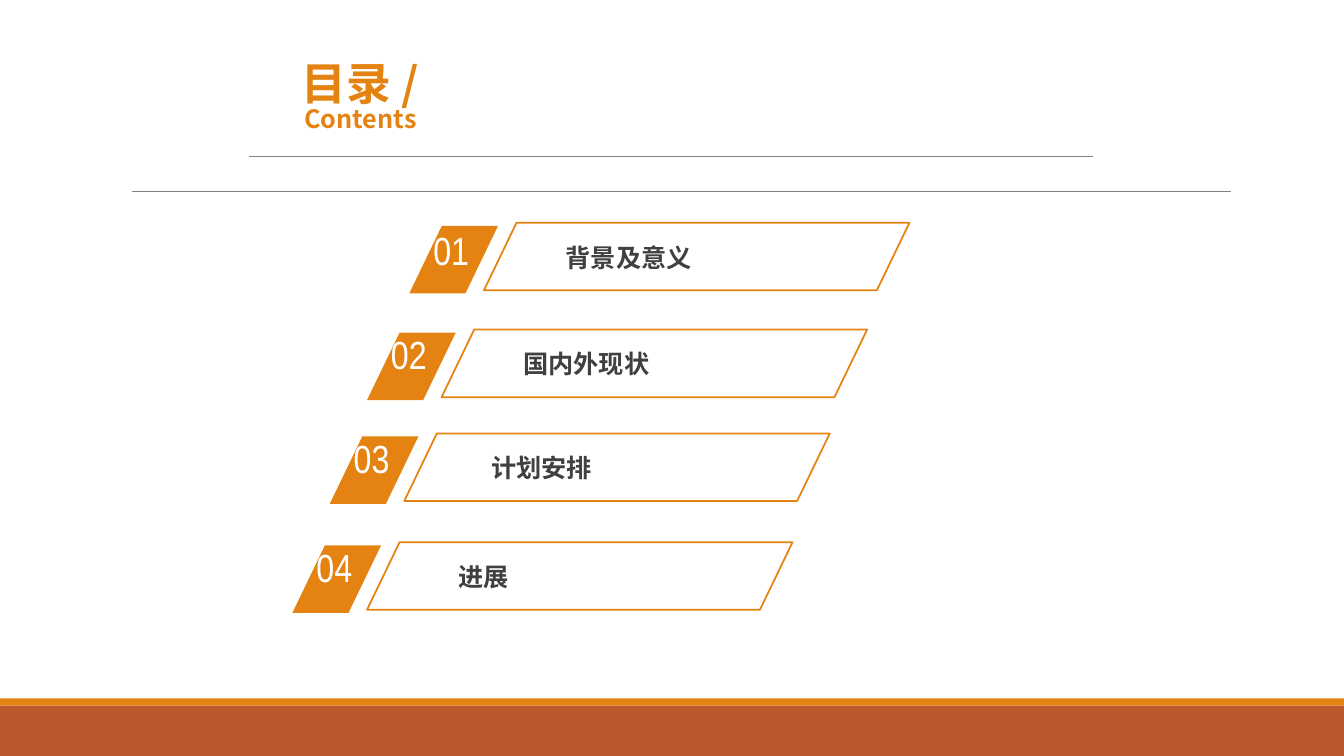
from pptx import Presentation
from pptx.dml.color import RGBColor
from pptx.enum.shapes import MSO_CONNECTOR as Link, MSO_SHAPE as Form
from pptx.enum.text import MSO_ANCHOR as Anchor, MSO_AUTO_SIZE as Fit, PP_ALIGN as Align
from pptx.oxml.ns import qn
from pptx.util import Inches, Pt
from lxml.etree import SubElement

ORANGE = RGBColor(0xE4, 0x83, 0x12)
RUST = RGBColor(0xBD, 0x58, 0x2C)
GREY = RGBColor(0x80, 0x80, 0x80)
DARK = RGBColor(0x40, 0x40, 0x40)
WHITE = RGBColor(0xFF, 0xFF, 0xFF)
HAN, NARROW = "Noto Sans CJK SC", "Arial Narrow"

TITLE = "目录 /\vContents"
ITEMS = [
    ("背景及意义", 4.06, 2.24, 2.2, 5.54),
    ("国内外现状", 3.64, 3.3, 3.23, 5.12),
    ("计划安排", 3.27, 4.33, 4.26, 4.8),
    ("进展", 2.9, 5.41, 5.34, 4.48),
]
BANDS = [(7, 0.5, RUST), (6.93, 0.07, ORANGE)]
RULES = [(1.31, 12.21, 1.9), (2.47, 10.84, 1.55)]
SLANT = 0.482


def style(run, size, face, color, bold=False):
    font = run.font
    font.size, font.name, font.bold = Pt(size), face, bold
    font.color.rgb = color
    SubElement(font._element, qn("a:ea"), typeface=face)


def block(slide, form, box, fill=None):
    shape = slide.shapes.add_shape(form, *map(Inches, box))
    shape.shadow.inherit = False
    if fill is None:
        shape.fill.background()
        shape.line.color.rgb = ORANGE
        shape.line.width = Pt(1.25)
    else:
        shape.fill.solid()
        shape.fill.fore_color.rgb = fill
        shape.line.fill.background()
    if form == Form.PARALLELOGRAM:
        shape.adjustments[0] = SLANT
    return shape


def label(slide, text, box, size, face, color, bold=False, pad=(0.1, 0.05)):
    frame = slide.shapes.add_textbox(*map(Inches, box)).text_frame
    frame.word_wrap = True
    frame.auto_size = Fit.SHAPE_TO_FIT_TEXT
    frame.margin_left = frame.margin_right = Inches(pad[0])
    frame.margin_top = frame.margin_bottom = Inches(pad[1])
    frame.text = text
    style(frame.paragraphs[0].runs[0], size, face, color, bold)


def rule(slide, left, right, y):
    line = slide.shapes.add_connector(
        Link.STRAIGHT, Inches(left), Inches(y), Inches(right), Inches(y))
    line.line.color.rgb = GREY
    line.line.width = Pt(0.5)
    SubElement(line._element.spPr, qn("a:effectLst"))


def head(slide):
    title = slide.shapes.title
    title.left, title.top = Inches(2.34), Inches(0.63)
    title.width, title.height = Inches(2.47), Inches(0.72)
    frame = title.text_frame
    frame.text = TITLE
    frame.word_wrap = True
    frame.auto_size = Fit.NONE
    frame.vertical_anchor = Anchor.MIDDLE
    para = frame.paragraphs[0]
    para.alignment = Align.CENTER
    para.line_spacing = 0.8
    para.space_before = Pt(6.4)
    for run, size in zip(para.runs, (32, 18)):
        style(run, size, HAN, ORANGE, True)


def main():
    deck = Presentation()
    deck.slide_width, deck.slide_height = Inches(13.33), Inches(7.5)
    slide = deck.slides.add_slide(deck.slide_layouts[5])
    for top, high, color in BANDS:
        block(slide, Form.RECTANGLE, (0, top, 13.33, high), color)
    for ends in RULES:
        rule(slide, *ends)
    head(slide)
    for num, (text, x, y, top, left) in enumerate(ITEMS, 1):
        block(slide, Form.PARALLELOGRAM, (x, y, 0.88, 0.67), ORANGE)
        label(slide, f"{num:02}", (x + 0.14, top, 0.84, 0.57), 28, NARROW, WHITE)
        label(slide, text, (left, y + 0.12, 3.09, 0.38), 18, HAN, DARK, True, (0.07, 0.04))
        block(slide, Form.PARALLELOGRAM, (x + 0.74, y - 0.03, 4.22, 0.67))
    deck.save("out.pptx")


if __name__ == "__main__":
    main()
